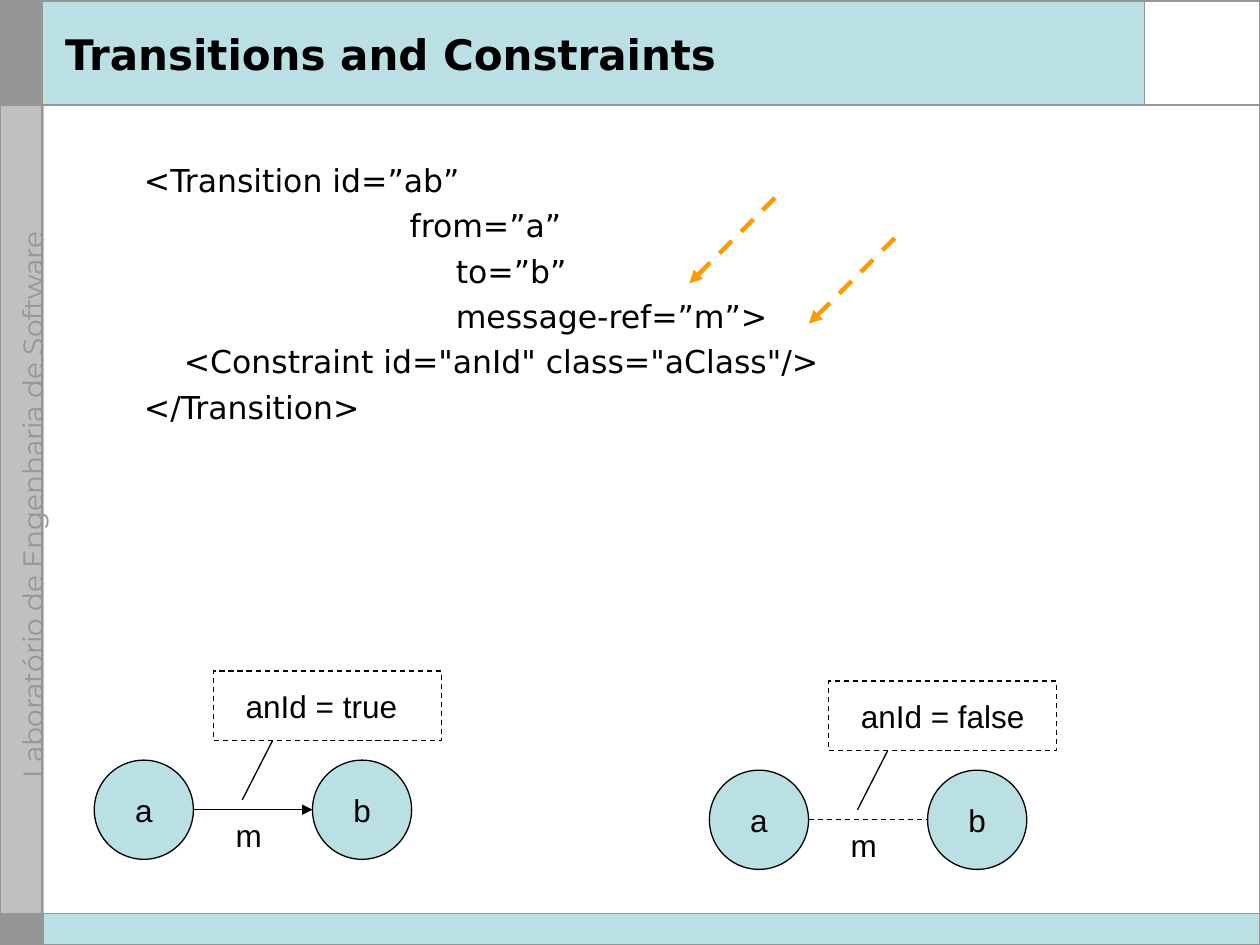
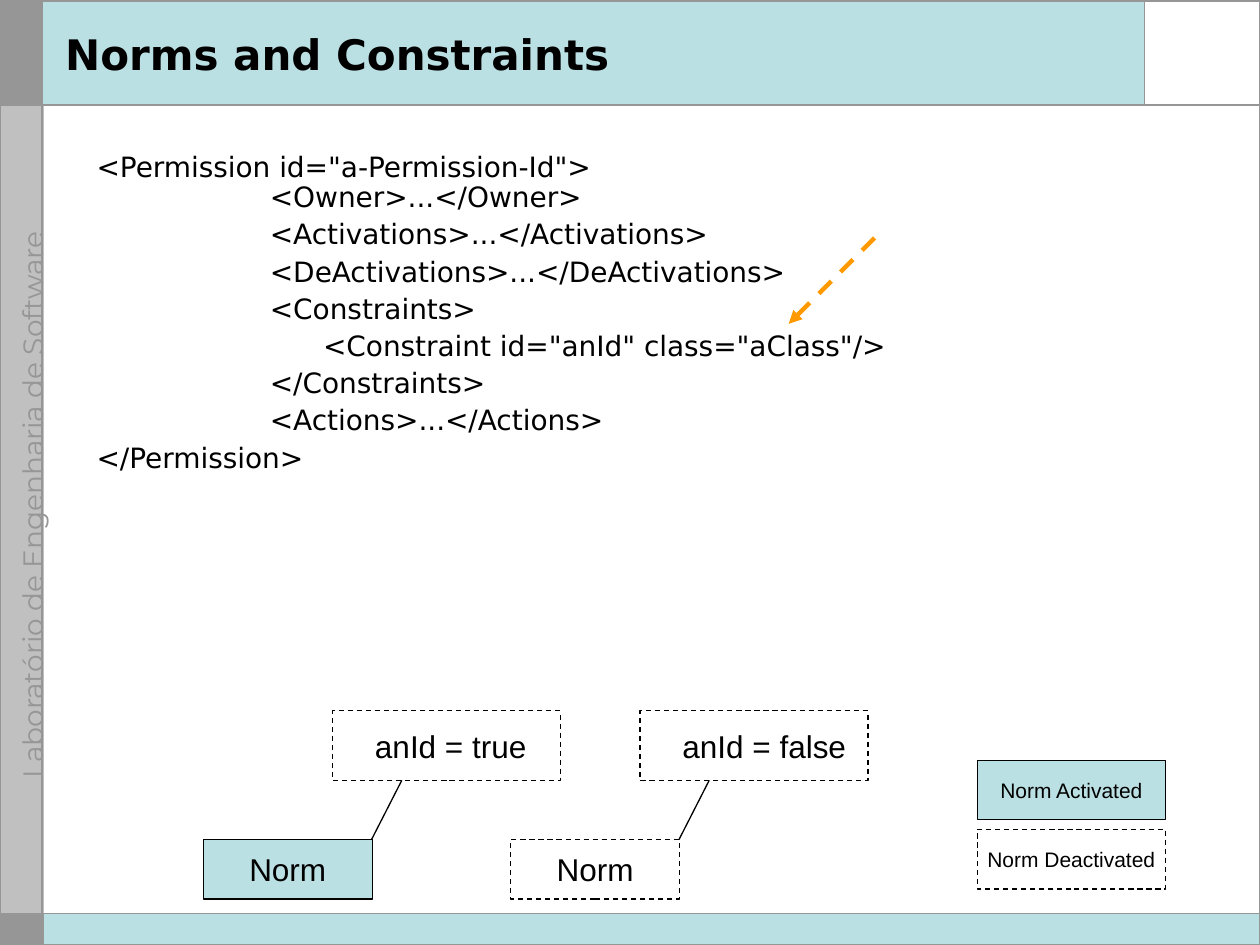
"""Build two slides on transitions, norms and their constraints."""
from lxml.etree import SubElement
from pptx import Presentation
from pptx.dml.color import RGBColor
from pptx.enum.dml import MSO_LINE
from pptx.enum.shapes import MSO_CONNECTOR, MSO_SHAPE
from pptx.enum.text import MSO_ANCHOR, MSO_AUTO_SIZE, PP_ALIGN
from pptx.oxml.ns import qn
from pptx.util import Inches, Pt

WIDTH, HEIGHT = Inches(10), Inches(7.5)
COLS, ROWS = 100, 75
TEAL, GREY, SILVER = "BBE0E3", "969696", "C0C0C0"
WHITE, BLACK, ORANGE = "FFFFFF", "000000", "FF9900"
SANS, CODE, SIDE = "Arial", "DejaVu Sans", "Montserrat"
BAND_LEFT, LOGO_LEFT, HEAD, FOOT = 3.35, 90.83, 8.34, 72.5
CIRCLE, CIRCLE_STEP = 7.87, 17.32
CALLOUT_W, CALLOUT_H = 18.1, 5.52
NORM_W, NORM_H = 13.4, 4.72

TRANSITION = [
    "\t<Transition id=”ab”\v"
    "\t              from=”a”\v"
    "\t\t      to=”b”\v"
    "\t\t      message-ref=”m”>\v"
    "    <Constraint id=\"anId\" class=\"aClass\"/>\v"
    "</Transition>",
]
PERMISSION = [
    "<Permission id=\"a-Permission-Id\">\v\t<Owner>...</Owner>",
    "\t\t<Activations>...</Activations>",
    "\t\t<DeActivations>...</DeActivations>",
    "\t\t<Constraints>",
    "\t\t      <Constraint id=\"anId\" class=\"aClass\"/>",
    "\t\t</Constraints>",
    "\t\t<Actions>...</Actions>",
    "</Permission>",
]


def rgb(color):
    return RGBColor.from_string(color)


def col(n):
    return round(WIDTH * n / COLS)


def row(n):
    return round(HEIGHT * n / ROWS)


def frame(x, y, w, h):
    return col(x), row(y), col(w), row(h)


class Deck:
    """Holds the style and the current slide."""

    def __init__(self):
        self.prs = Presentation()
        self.prs.slide_width, self.prs.slide_height = WIDTH, HEIGHT
        self.layout = self.prs.slide_layouts[1]
        self.s = None

    def font(self, p, size, name=SANS, color=BLACK, bold=False):
        p.font.size, p.font.name, p.font.bold = Pt(size), name, bold
        p.font.color.rgb = rgb(color)

    def stroke(self, line, color, width, dashed=False):
        line.color.rgb = rgb(color)
        line.width = Pt(width)
        if dashed:
            line.dash_style = MSO_LINE.DASH

    def shape(self, x, y, w, h, fill=None, line=None, width=0.75,
              dashed=False, kind=MSO_SHAPE.RECTANGLE):
        sp = self.s.shapes.add_shape(kind, *frame(x, y, w, h))
        sp.shadow.inherit = False
        if fill:
            sp.fill.solid()
            sp.fill.fore_color.rgb = rgb(fill)
        else:
            sp.fill.background()
        if line:
            self.stroke(sp.line, line, width, dashed)
        else:
            sp.line.fill.background()
        return sp

    def label(self, sp, text, size=18, align=PP_ALIGN.CENTER):
        tf = sp.text_frame
        tf.word_wrap = False
        tf.vertical_anchor = MSO_ANCHOR.MIDDLE
        p = tf.paragraphs[0]
        p.text, p.alignment = text, align
        self.font(p, size)

    def text(self, x, y, w, h, text, size=18, name=SANS, color=BLACK):
        sp = self.s.shapes.add_textbox(*frame(x, y, w, h))
        sp.text_frame.word_wrap = False
        p = sp.text_frame.paragraphs[0]
        p.text = text
        self.font(p, size, name, color)
        return sp

    def line(self, x1, y1, x2, y2, color=BLACK, width=0.75, dashed=False,
             arrow=None):
        c = self.s.shapes.add_connector(
            MSO_CONNECTOR.STRAIGHT, col(x1), row(y1), col(x2), row(y2))
        self.stroke(c.line, color, width, dashed)
        props = c.element.spPr
        if arrow:
            SubElement(props.find(qn("a:ln")), qn(arrow), type="triangle")
        SubElement(props, qn("a:effectLst"))

    def pointer(self, x, y):
        self.line(x, y, x + 7.1, y - 7.1, ORANGE, 2.5, True, "a:headEnd")

    def slide(self, title):
        self.s = self.prs.slides.add_slide(self.layout)
        sp = self.s.shapes.title
        sp.left, sp.top, sp.width, sp.height = frame(4.17, 1.2, 85.8, 6.2)
        tf = sp.text_frame
        tf.auto_size = MSO_AUTO_SIZE.NONE
        tf.vertical_anchor = MSO_ANCHOR.MIDDLE
        p = tf.paragraphs[0]
        p.text, p.alignment = title, PP_ALIGN.LEFT
        self.font(p, 24, CODE, bold=True)

    def code(self, lines, size, spacing, before):
        sp = self.s.placeholders[1]
        sp.left, sp.top, sp.width, sp.height = frame(6.67, 11.67, 90.8, 58.4)
        tf = sp.text_frame
        tf.auto_size = MSO_AUTO_SIZE.NONE
        for i, text in enumerate(lines):
            p = tf.add_paragraph() if i else tf.paragraphs[0]
            p.text = text
            props = p._p.get_or_add_pPr()
            props.set("marL", str(col(3.75)))
            props.set("indent", str(-col(3.75)))
            props.set("defTabSz", str(Inches(1)))
            SubElement(props, qn("a:buNone"))
            tabs = SubElement(props, qn("a:tabLst"))
            for n in range(8):
                SubElement(tabs, qn("a:tab"), pos=str(Inches(n)), algn="l")
            p.line_spacing = spacing
            p.space_before = Pt(before if i else 0)
            self.font(p, size, CODE)

    def bands(self):
        """Draw the shared bands and move them to the layout."""
        start = len(self.s.shapes)
        self.shape(0.1, 0.1, BAND_LEFT, HEAD, GREY, GREY)
        self.shape(BAND_LEFT, 0, COLS - BAND_LEFT, HEAD, TEAL)
        self.shape(0.1, HEAD, BAND_LEFT, FOOT - HEAD, SILVER, SILVER)
        self.shape(LOGO_LEFT, 0, COLS - LOGO_LEFT, HEAD, WHITE)
        self.shape(BAND_LEFT, FOOT, COLS - BAND_LEFT, ROWS - FOOT, TEAL)
        side = self.text(-21.2, 39.1, 45.6, 1.8,
                         "Laboratório de Engenharia de Software", 16, SIDE, GREY)
        side.rotation = 270
        self.shape(0.1, FOOT, BAND_LEFT, 2.4, GREY, GREY)
        for ends in ((LOGO_LEFT, 0, LOGO_LEFT, HEAD), (0, HEAD, COLS, HEAD),
                     (BAND_LEFT, 0, BAND_LEFT, ROWS), (0, FOOT, COLS, FOOT)):
            self.line(*ends, GREY, 1)
        self.shape(0, 0.1, COLS, 74.9, None, GREY, 1)
        for sp in list(self.s.shapes)[start:]:
            self.layout.shapes.element.append(sp.element)

    def callout(self, x, y, text, tail):
        sp = self.shape(x, y, CALLOUT_W, CALLOUT_H, None, BLACK, dashed=True)
        self.label(sp, text, align=PP_ALIGN.LEFT)
        sp.text_frame.margin_left = col(tail - 2.13)
        bottom = y + CALLOUT_H
        self.line(x + tail - 2.4, bottom + 4.7, x + tail, bottom)

    def transition(self, x, y, condition, active):
        for i, state in enumerate("ab"):
            sp = self.shape(x + i * CIRCLE_STEP, y, CIRCLE, CIRCLE, TEAL, BLACK,
                            kind=MSO_SHAPE.OVAL)
            self.label(sp, state)
        middle = y + CIRCLE / 2
        self.line(x + CIRCLE, middle, x + CIRCLE_STEP, middle,
                  dashed=not active, arrow="a:tailEnd" if active else None)
        self.callout(x + 9.45, y - 7.07, condition, 4.7)
        self.text(x + 10.23, middle, 4.1, 4, "m")

    def box(self, x, y, w, text, active, size=18):
        sp = self.shape(x, y, w, NORM_H, TEAL if active else WHITE, BLACK,
                        dashed=not active)
        self.label(sp, text, size)

    def norm(self, x, y, condition, active):
        self.box(x, y, NORM_W, "Norm", active)
        self.callout(x + 10.25, y - 10.22, condition, 5.5)


def main():
    deck = Deck()

    deck.slide("Transitions and Constraints")
    deck.bands()
    deck.code(TRANSITION, 18, 1.2, 4.5)
    deck.transition(7.48, 60.33, "anId = true", True)
    deck.transition(56.3, 61.13, "anId = false", False)
    deck.pointer(54.7, 22.5)
    deck.pointer(64.2, 25.7)

    deck.slide("Norms and Constraints")
    deck.code(PERMISSION, 16, 0.9, 4)
    deck.norm(16.14, 66.63, "anId = true", True)
    deck.norm(40.54, 66.63, "anId = false", False)
    deck.box(77.56, 60.33, 14.95, "Norm Activated", True, 12)
    deck.box(77.56, 65.83, 14.95, "Norm Deactivated", False, 12)
    deck.pointer(62.6, 25.7)

    deck.prs.save("out.pptx")


if __name__ == "__main__":
    main()
